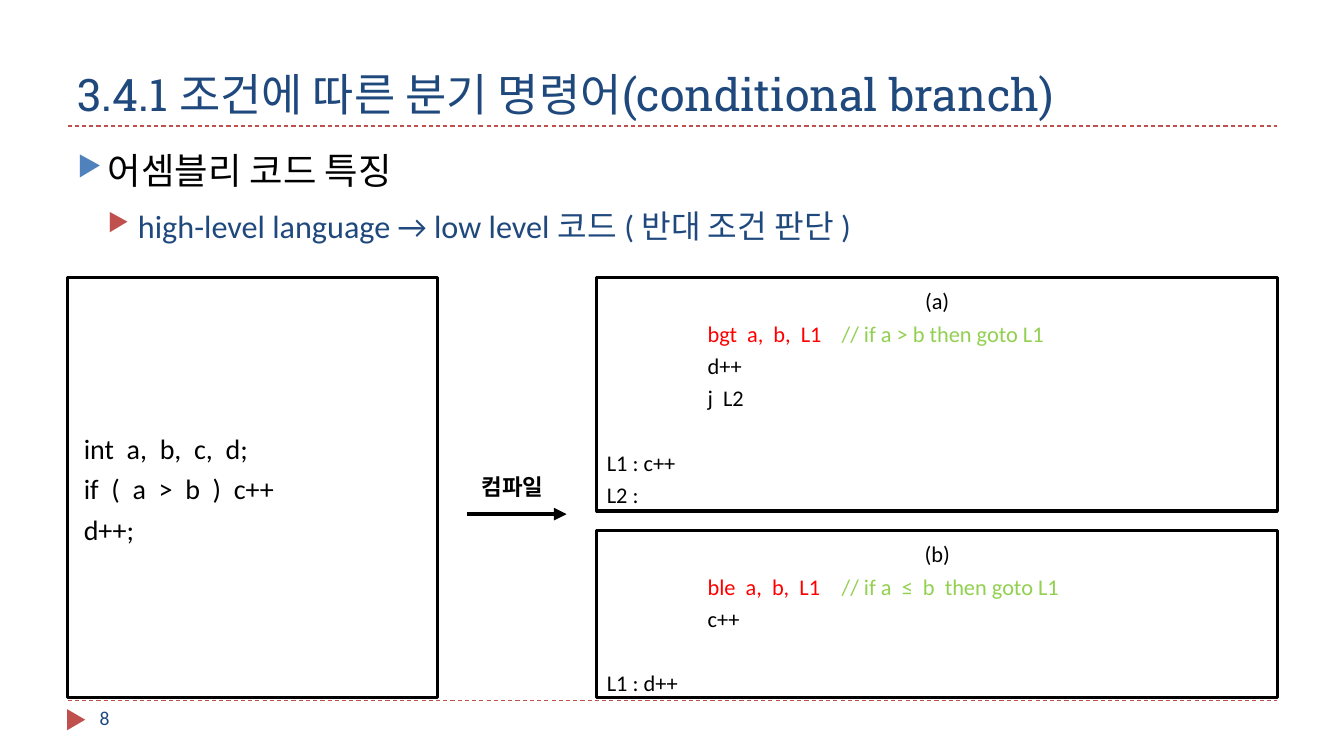
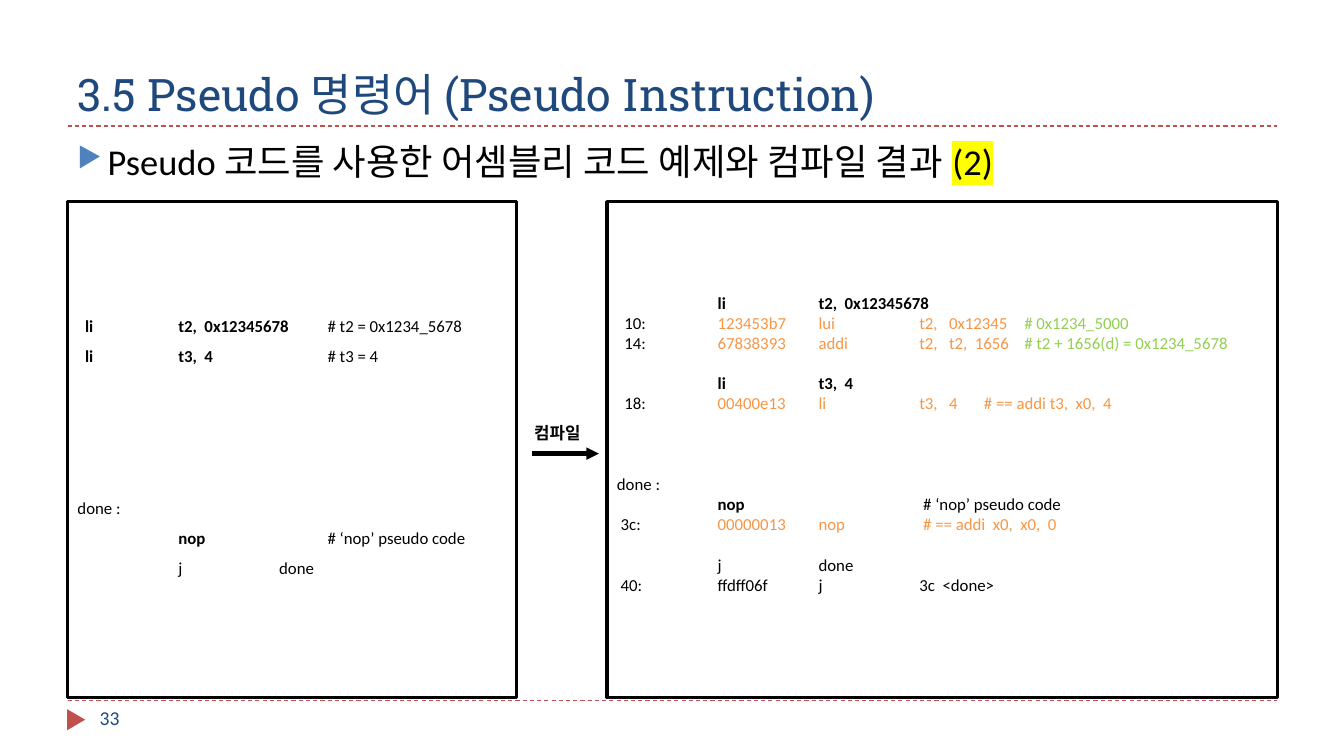
from lxml import etree
from pptx import Presentation
from pptx.dml.color import RGBColor
from pptx.enum import dml, shapes, text
from pptx.oxml import ns
from pptx.util import Inches, Pt

NAVY = RGBColor(0x1F, 0x49, 0x7D)
BLUE = RGBColor(0x4F, 0x81, 0xBD)
BRICK = RGBColor(0xC0, 0x50, 0x4D)
BLACK = RGBColor(0, 0, 0)
RED = RGBColor(0xFF, 0, 0)
GREEN = RGBColor(0x92, 0xD0, 0x50)
ORANGE = RGBColor(0xF7, 0x96, 0x46)
YELLOW = RGBColor(0xFF, 0xFF, 0)

BODY_FONT = "Calibri"
TITLE_FONT = "Roboto Slab"
LEFT, RIGHT = 0.67, 12.67
TITLE_RULE, FOOTER_RULE = 1.25, 6.95
LINE_HEIGHT = 1.2  # of the font size

# style: (colour, bold)
STYLES = {
    "plain": (BLACK, False),
    "label": (BLACK, False),
    "bold": (BLACK, True),
    "branch": (RED, False),
    "comment": (GREEN, False),
    "machine": (ORANGE, False),
}
# level: (size, text colour, bullet colour, space before)
BULLETS = [(26, BLACK, BLUE, 0), (23, NAVY, BRICK, 5)]


def plain(line):
    return [(line, "plain")]


# In code, a number stands for that many empty lines.
SLIDES = [
    {
        "title": "3.4.1 조건에 따른 분기 명령어(conditional branch)",
        "number": "8",
        "bullets": [
            (0, "어셈블리 코드 특징", ""),
            (1, "high-level language → low level 코드 ( 반대 조건 판단 )", ""),
        ],
        "bullet_spacing": 1.2,
        "arrow": {"start": 4.63, "end": 5.62, "y": 5.1, "size": 16,
                  "label": (4.68, 4.64)},
        "boxes": [
            {
                "at": (LEFT, 2.75, 3.67, 4.17), "size": 20, "spacing": 1.2,
                "anchor": text.MSO_ANCHOR.MIDDLE, "bottom": 0.09, "tabs": [],
                "code": [
                    plain(" int  a,  b,  c,  d;"),
                    plain(" if  (  a  >  b  )  c++"),
                    plain(" d++;"),
                ],
            },
            {
                "at": (5.92, 2.75, 6.75, 2.32), "size": 16, "spacing": 1.2,
                "anchor": text.MSO_ANCHOR.TOP, "bottom": 0, "tabs": [1, 2.33],
                "code": [
                    [("(a)", "label")],
                    [("\tbgt  a,  b,  L1\t", "branch"),
                     ("// if a > b then goto L1", "comment")],
                    plain("\td++"),
                    plain("\tj  L2"),
                    1,
                    plain("L1 : c++"),
                    plain("L2 :"),
                ],
            },
            {
                "at": (5.92, 5.26, 6.75, 1.66), "size": 16, "spacing": 1.2,
                "anchor": text.MSO_ANCHOR.TOP, "bottom": 0, "tabs": [1, 2.33],
                "code": [
                    [("(b)", "label")],
                    [("\tble  a,  b,  L1\t", "branch"),
                     ("// if a  ≤  b  then goto L1", "comment")],
                    plain("\tc++"),
                    1,
                    plain("L1 : d++"),
                ],
            },
        ],
    },
    {
        "title": "3.5 Pseudo 명령어 (Pseudo Instruction)",
        "number": "33",
        "bullets": [
            (0, "Pseudo 코드를 사용한 어셈블리 코드 예제와 컴파일 결과 ", "(2)"),
        ],
        "bullet_spacing": 1.0,
        "arrow": {"start": 5.28, "end": 5.94, "y": 4.5, "size": 12,
                  "label": (5.2, 4.14)},
        "boxes": [
            {
                "at": (LEFT, 2, 4.45, 4.92), "size": 12, "spacing": 1.5,
                "anchor": text.MSO_ANCHOR.MIDDLE, "bottom": 0.2,
                "tabs": [1, 2, 2.48],
                "code": [
                    [("  li\tt2,  0x12345678\t", "bold"),
                     ("# t2 = 0x1234_5678", "plain")],
                    [("  li\tt3,  4\t\t", "bold"), ("# t3 = 4", "plain")],
                    4,
                    plain("done :"),
                    [("\tnop\t\t", "bold"), ("# ‘nop’ pseudo code", "plain")],
                    plain("\tj\tdone"),
                ],
            },
            {
                "at": (6.02, 2, 6.65, 4.92), "size": 12, "spacing": 1.0,
                "anchor": text.MSO_ANCHOR.MIDDLE, "bottom": 0.17,
                "tabs": [1, 2, 3, 3.64, 4.04],
                "code": [
                    [("\tli\tt2,  0x12345678", "bold")],
                    [("  10:\t", "plain"),
                     ("123453b7\tlui\tt2,   0x12345\t", "machine"),
                     ("# 0x1234_5000", "comment")],
                    [("  14:\t", "plain"),
                     ("67838393\taddi\tt2,   t2,  1656\t", "machine"),
                     ("# t2 + 1656(d) = 0x1234_5678", "comment")],
                    1,
                    [("\tli\tt3,  4", "bold")],
                    [("  18:\t", "plain"),
                     ("00400e13\tli\tt3,   4\t# == addi t3,  x0,  4", "machine")],
                    3,
                    plain("done :"),
                    [("\tnop", "bold"), ("\t\t # ‘nop’ pseudo code", "plain")],
                    [(" 3c:\t", "plain"),
                     ("00000013\tnop\t # == addi  x0,  x0,  0", "machine")],
                    1,
                    plain("\tj\tdone"),
                    plain(" 40:\tffdff06f\tj\t3c  <done>"),
                ],
            },
        ],
    },
]


def add_xml(parent, tag, **attributes):
    return etree.SubElement(parent, ns.qn(tag), attributes)


def add_run(paragraph, words, size, color, bold=False, font=BODY_FONT):
    run = paragraph.add_run()
    run.text = words
    run.font.name = font
    run.font.size = Pt(size)
    run.font.bold = bold
    run.font.color.rgb = color
    return run


def add_line(slide, start, end, y, color, width):
    line = slide.shapes.add_connector(
        shapes.MSO_CONNECTOR.STRAIGHT,
        Inches(start), Inches(y), Inches(end), Inches(y))
    line.line.color.rgb = color
    line.line.width = Pt(width)
    add_xml(line._element.spPr, "a:effectLst")
    return line


def add_text_box(slide, left, top, width, height):
    box = slide.shapes.add_textbox(
        Inches(left), Inches(top), Inches(width), Inches(height))
    box.text_frame.word_wrap = True
    return box.text_frame


def decorate_layout(slide):
    """Draw the rules and footer triangle, then move them to the layout."""
    parts = []
    for y in (FOOTER_RULE, TITLE_RULE):
        rule = add_line(slide, LEFT, RIGHT, y, BRICK, 0.75)
        rule.line.dash_style = dml.MSO_LINE.DASH
        parts.append(rule)
    triangle = slide.shapes.add_shape(
        shapes.MSO_SHAPE.ISOSCELES_TRIANGLE,
        Inches(0.65), Inches(7.05), Inches(0.21), Inches(0.18))
    triangle.rotation = 90
    triangle.shadow.inherit = False
    triangle.fill.solid()
    triangle.fill.fore_color.rgb = BRICK
    triangle.line.fill.background()
    for part in parts + [triangle]:
        slide.slide_layout.shapes._spTree.append(part._element)


def set_title(slide, words):
    title = slide.shapes.title
    title.left, title.top = Inches(LEFT), Inches(0.17)
    title.width, title.height = Inches(RIGHT - LEFT), Inches(1.08)
    frame = title.text_frame
    frame.auto_size = text.MSO_AUTO_SIZE.NONE
    frame.vertical_anchor = text.MSO_ANCHOR.BOTTOM
    paragraph = frame.paragraphs[0]
    paragraph.alignment = text.PP_ALIGN.LEFT
    add_run(paragraph, words, 32, NAVY, font=TITLE_FONT)


def add_highlight(run, color):
    highlight = etree.Element(ns.qn("a:highlight"))
    add_xml(highlight, "a:srgbClr", val=str(color))
    run._r.rPr.find(ns.qn("a:solidFill")).addnext(highlight)


def add_bullets(slide, bullets, spacing):
    frame = add_text_box(slide, LEFT, 1.33, RIGHT - LEFT, 1.3)
    for index, (level, words, marked) in enumerate(bullets):
        size, color, bullet_color, space = BULLETS[level]
        paragraph = frame.paragraphs[0] if index == 0 else frame.add_paragraph()
        paragraph.level = level
        properties = paragraph._p.get_or_add_pPr()
        properties.set("marL", str(Inches(0.3 * (level + 1))))
        properties.set("indent", str(Inches(-0.3)))
        add_xml(add_xml(properties, "a:buClr"), "a:srgbClr", val=str(bullet_color))
        add_xml(properties, "a:buSzPct", val="76000")
        add_xml(properties, "a:buChar", char="▶")
        paragraph.line_spacing = spacing
        paragraph.space_before = Pt(space)
        add_run(paragraph, words, size, color)
        if marked:
            add_highlight(add_run(paragraph, marked, size, color), YELLOW)


def add_code_box(slide, box):
    rectangle = slide.shapes.add_shape(
        shapes.MSO_SHAPE.RECTANGLE, *(Inches(value) for value in box["at"]))
    rectangle.shadow.inherit = False
    rectangle.fill.background()
    rectangle.line.color.rgb = BLACK
    rectangle.line.width = Pt(2.25)
    frame = rectangle.text_frame
    frame.word_wrap = True
    frame.vertical_anchor = box["anchor"]
    frame.margin_bottom = Inches(box["bottom"])

    empty_lines = 0
    for index, line in enumerate(box["code"]):
        if isinstance(line, int):
            empty_lines = line
            continue
        paragraph = frame.paragraphs[0] if index == 0 else frame.add_paragraph()
        if box["tabs"]:
            tabs = add_xml(paragraph._p.get_or_add_pPr(), "a:tabLst")
            for stop in box["tabs"]:
                add_xml(tabs, "a:tab", pos=str(Inches(stop)), algn="l")
        centred = line[0][1] == "label"
        paragraph.alignment = (
            text.PP_ALIGN.CENTER if centred else text.PP_ALIGN.LEFT)
        paragraph.line_spacing = box["spacing"]
        paragraph.space_before = Pt(
            empty_lines * box["size"] * box["spacing"] * LINE_HEIGHT)
        empty_lines = 0
        for words, style in line:
            add_run(paragraph, words, box["size"], *STYLES[style])


def add_compile_arrow(slide, arrow):
    line = add_line(slide, arrow["start"], arrow["end"], arrow["y"], BLACK, 3)
    add_xml(line.line._get_or_add_ln(), "a:tailEnd", type="triangle")
    frame = add_text_box(slide, *arrow["label"], 0.92, 0.35)
    add_run(frame.paragraphs[0], "컴파일", arrow["size"], BLACK, bold=True)


def main():
    presentation = Presentation()
    presentation.slide_width = Inches(13.33)
    presentation.slide_height = Inches(7.5)
    layout = presentation.slide_layouts.get_by_name("Title Only")
    for index, content in enumerate(SLIDES):
        slide = presentation.slides.add_slide(layout)
        if index == 0:
            decorate_layout(slide)
        set_title(slide, content["title"])
        add_bullets(slide, content["bullets"], content["bullet_spacing"])
        number = add_text_box(slide, 0.89, FOOTER_RULE, 2.89, 0.4)
        add_run(number.paragraphs[0], content["number"], 14, NAVY)
        for box in content["boxes"]:
            add_code_box(slide, box)
        add_compile_arrow(slide, content["arrow"])
    presentation.save("out.pptx")


if __name__ == "__main__":
    main()
